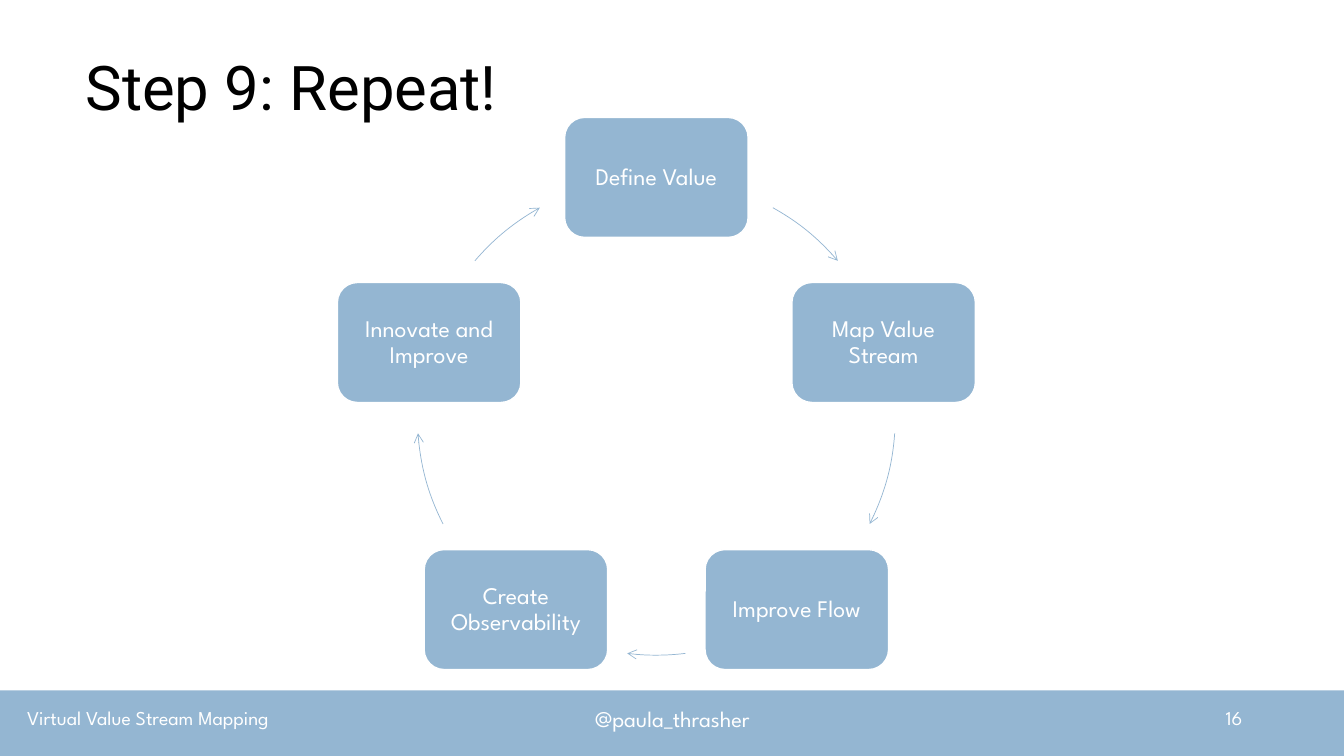
from math import cos, radians, sin

from pptx import Presentation
from pptx.dml.color import RGBColor
from pptx.enum.shapes import MSO_SHAPE
from pptx.enum.text import MSO_ANCHOR, PP_ALIGN
from pptx.oxml.ns import qn
from pptx.util import Inches, Pt
from lxml import etree

RECTANGLE, ROUNDED = MSO_SHAPE.RECTANGLE, MSO_SHAPE.ROUNDED_RECTANGLE
LEFT, CENTER, RIGHT = PP_ALIGN.LEFT, PP_ALIGN.CENTER, PP_ALIGN.RIGHT
TOP, MIDDLE = MSO_ANCHOR.TOP, MSO_ANCHOR.MIDDLE

TITLE = "Step 9: Repeat!"
STEPS = ["Define Value", "Map Value Stream", "Improve Flow",
         "Create Observability", "Innovate and Improve"]
ARROW_ANGLES = [(29.2, 49.4), (94.1, 116.8), (173, 187), (243.2, 265.9), (310.6, 330.8)]
FOOTER = [
    ("Virtual Value Stream Mapping", 0.17, 3.6, 14, LEFT),
    ("@paula_thrasher", 4.42, 4.5, 16, CENTER),
    ("16", 9.42, 3, 14, RIGHT),
]
THEME = {
    "blue": RGBColor(0x94, 0xB6, 0xD2),
    "white": RGBColor(0xFF, 0xFF, 0xFF),
    "black": RGBColor(0, 0, 0),
    "body": "League Spartan",
    "heading": "Roboto",
    "title_size": 44,
    "step_size": 17,
}
CIRCLE_LEFT, CIRCLE_TOP, RADIUS = 4.14, 1.76, 2.37
STEP_WIDTH, STEP_HEIGHT = 1.82, 1.19


def write(box, text, size, font=THEME["body"], color=THEME["white"],
          align=LEFT, anchor=TOP, spacing=None, inset=None):
    frame = box.text_frame
    frame.word_wrap = True
    frame.vertical_anchor = anchor
    if inset is not None:
        frame.margin_left = frame.margin_right = Inches(inset)
        frame.margin_top = frame.margin_bottom = Inches(inset)
    para = frame.paragraphs[0]
    para.alignment = align
    if spacing:
        para.line_spacing = spacing
    span = para.add_run()
    span.text = text
    span.font.name = font
    span.font.size = Pt(size)
    span.font.color.rgb = color


def add_block(page, kind, left, top, width, height):
    block = page.shapes.add_shape(kind, Inches(left), Inches(top), Inches(width), Inches(height))
    block.shadow.inherit = False
    block.fill.solid()
    block.fill.fore_color.rgb = THEME["blue"]
    block.line.fill.background()
    return block


def on_circle(degrees):
    angle = radians(degrees)
    return RADIUS * (1 + sin(angle)), RADIUS * (1 - cos(angle))


def add_arc_arrow(page, start, end):
    left, top, size = Inches(CIRCLE_LEFT), Inches(CIRCLE_TOP), Inches(2 * RADIUS)
    builder = page.shapes.build_freeform(left, top)
    builder.add_line_segments([(left + size, top + size)], close=False)
    arrow = builder.convert_to_shape()
    arrow.shadow.inherit = False
    arrow.fill.background()
    arrow.line.color.rgb = THEME["blue"]
    arrow.line.width = Pt(0.5)

    properties = arrow.element.spPr
    point = properties.find(".//" + qn("a:moveTo") + "/" + qn("a:pt"))
    x, y = on_circle(start)
    point.set("x", str(Inches(x)))
    point.set("y", str(Inches(y)))
    segment = properties.find(".//" + qn("a:lnTo"))
    outline = segment.getparent()
    outline.remove(segment)
    radius = str(Inches(RADIUS))
    etree.SubElement(outline, qn("a:arcTo"), wR=radius, hR=radius,
                     stAng=str(round((start - 90) % 360 * 60000)),
                     swAng=str(round((end - start) * 60000)))
    etree.SubElement(properties.find(qn("a:ln")), qn("a:tailEnd"), type="arrow")


def main():
    deck = Presentation()
    deck.slide_width, deck.slide_height = Inches(13.33), Inches(7.5)
    page = deck.slides.add_slide(deck.slide_layouts[6])

    add_block(page, RECTANGLE, 0, 6.85, 13.33, 0.65)
    for text, left, width, size, align in FOOTER:
        box = page.shapes.add_textbox(Inches(left), Inches(6.95), Inches(width), Inches(0.4))
        write(box, text, size, align=align)

    title = page.shapes.add_textbox(Inches(0.75), Inches(0.4), Inches(11.5), Inches(1))
    write(title, TITLE, THEME["title_size"], font=THEME["heading"], color=THEME["black"],
          anchor=MIDDLE, spacing=0.9)

    for index, (step, angles) in enumerate(zip(STEPS, ARROW_ANGLES)):
        x, y = on_circle(index * 360 / len(STEPS))
        block = add_block(page, ROUNDED, CIRCLE_LEFT + x - STEP_WIDTH / 2,
                          CIRCLE_TOP + y - STEP_HEIGHT / 2, STEP_WIDTH, STEP_HEIGHT)
        block.line.color.rgb = THEME["white"]
        block.line.width = Pt(1)
        write(block, step, THEME["step_size"], align=CENTER, anchor=MIDDLE,
              spacing=0.9, inset=0.07)
        add_arc_arrow(page, *angles)

    deck.save("out.pptx")


if __name__ == "__main__":
    main()
